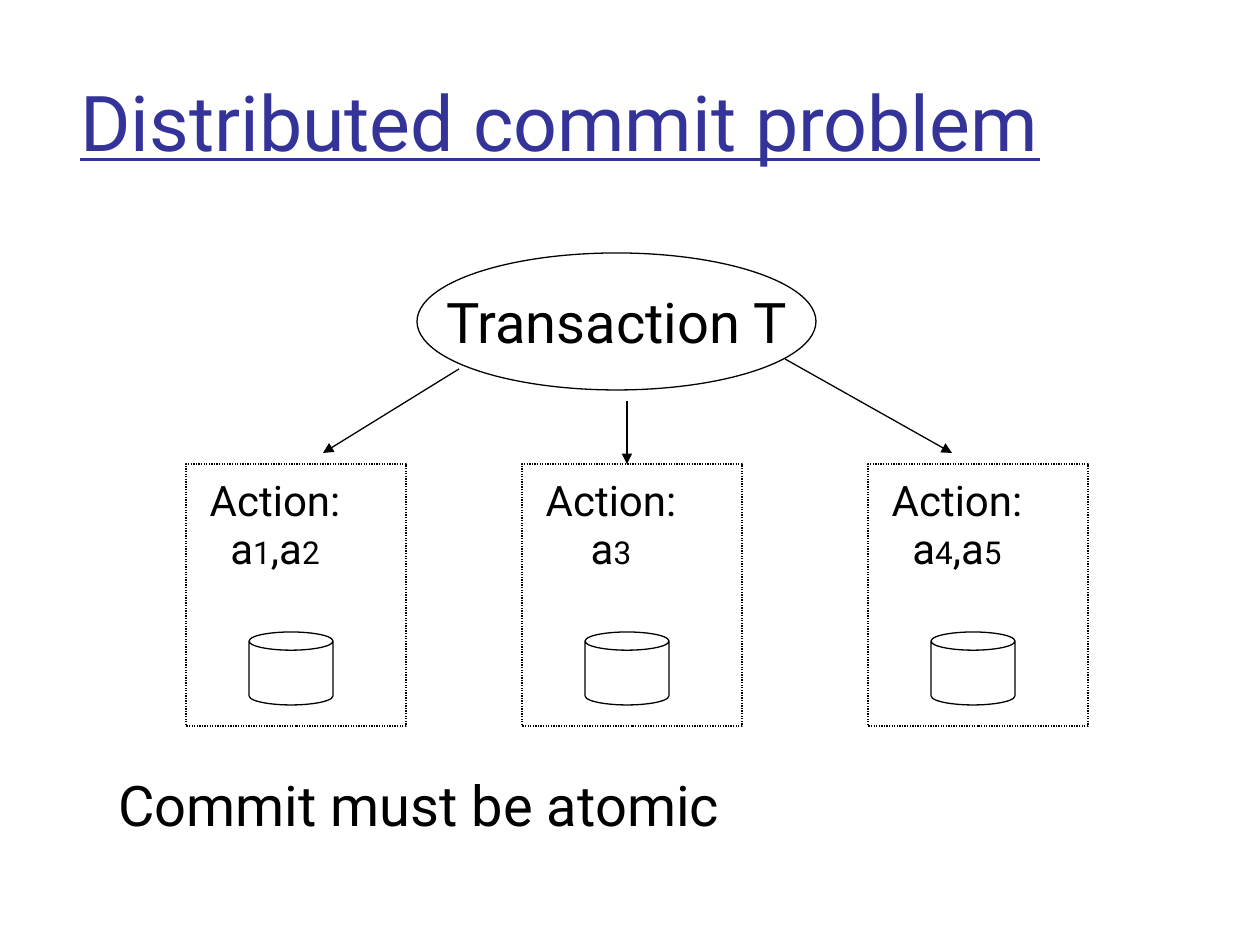
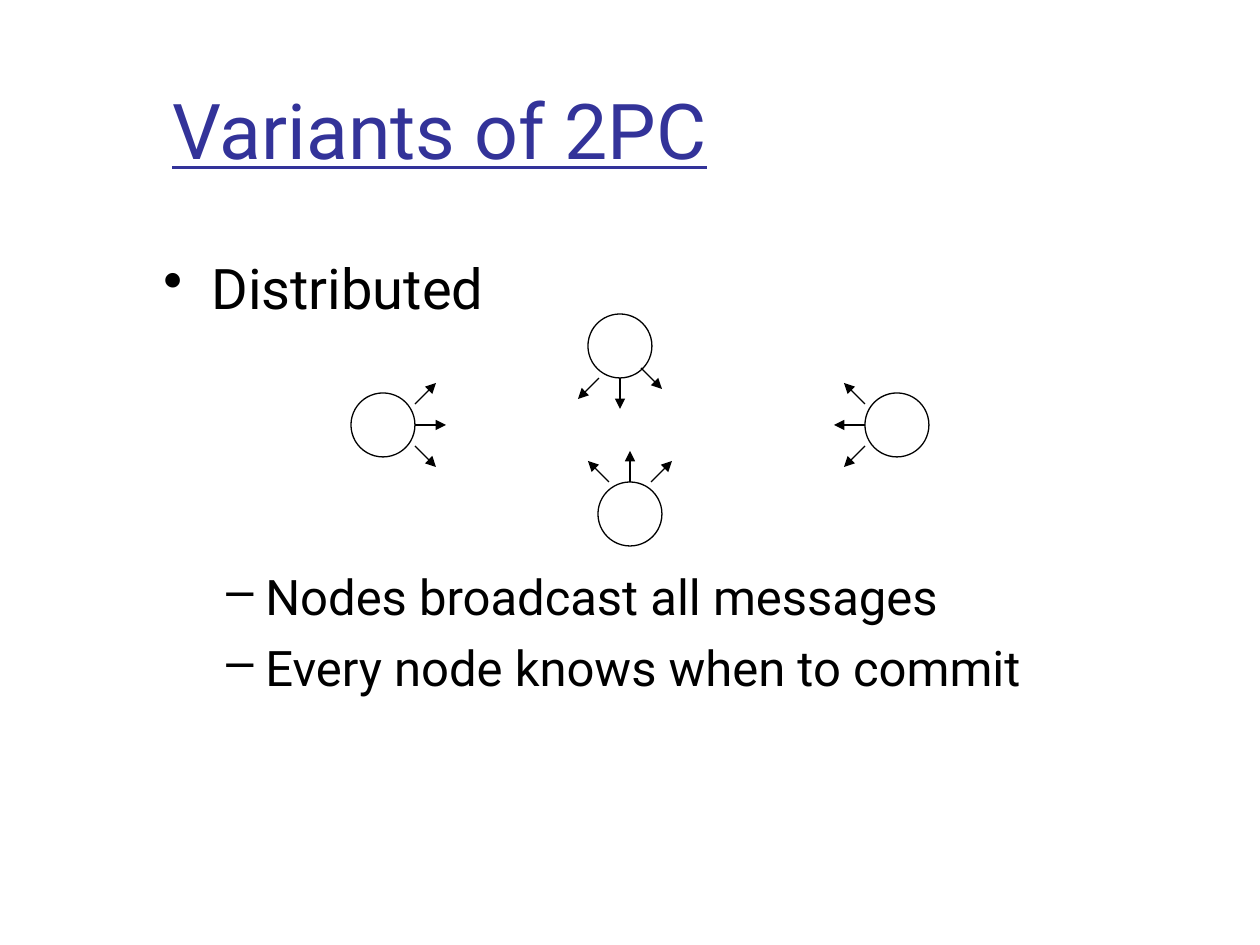
from itertools import groupby

from lxml.etree import SubElement
from pptx import Presentation
from pptx.dml.color import RGBColor
from pptx.enum.dml import MSO_LINE
from pptx.enum.shapes import MSO_CONNECTOR, MSO_SHAPE
from pptx.enum.text import MSO_ANCHOR, PP_ALIGN
from pptx.oxml.ns import qn
from pptx.util import Emu, Pt

# Shared look
BLACK = RGBColor(0x00, 0x00, 0x00)
WHITE = RGBColor(0xFF, 0xFF, 0xFF)
TITLE_BLUE = RGBColor(0x33, 0x33, 0x99)
FONT = "Roboto"
LINE_WIDTH = Pt(0.75)
PX_PER_INCH = 126
NODE_RADIUS = 32


def px(length):
    return Emu(round(length * 914400 / PX_PER_INCH))


def format_run(run, size, color=BLACK, underline=None):
    run.font.name = FONT
    run.font.size = Pt(size)
    run.font.color.rgb = color
    run.font.underline = underline


def add_text(slide, box, lines, size, wrap=True, color=BLACK, underline=None):
    """Add a text box with one paragraph per line."""
    text_frame = slide.shapes.add_textbox(*map(px, box)).text_frame
    text_frame.word_wrap = wrap
    text_frame.text = "\n".join(lines)
    for paragraph in text_frame.paragraphs:
        for run in paragraph.runs:
            format_run(run, size, color, underline)
    return text_frame


def add_title(slide, box, title):
    text_frame = add_text(slide, box, [title], 44, color=TITLE_BLUE, underline=True)
    text_frame.vertical_anchor = MSO_ANCHOR.MIDDLE


def add_bullets(slide, box, lines, size, symbol, margin, hanging, space):
    text_frame = add_text(slide, box, lines, size)
    for paragraph in text_frame.paragraphs:
        paragraph.space_before = Pt(space)
        properties = paragraph._p.get_or_add_pPr()
        properties.set("marL", str(px(margin)))
        properties.set("indent", str(px(-hanging)))
        SubElement(properties, qn("a:buChar"), char=symbol)


def add_outline(parent, kind, box, dash=None):
    """Add a white shape with a thin black outline."""
    shape = parent.shapes.add_shape(kind, *map(px, box))
    shape.shadow.inherit = False
    shape.fill.solid()
    shape.fill.fore_color.rgb = WHITE
    shape.line.color.rgb = BLACK
    shape.line.width = LINE_WIDTH
    if dash:
        shape.line.dash_style = dash
    return shape


def add_arrow(parent, start, end):
    points = map(px, (*start, *end))
    arrow = parent.shapes.add_connector(MSO_CONNECTOR.STRAIGHT, *points)
    arrow.line.color.rgb = BLACK
    arrow.line.width = LINE_WIDTH
    properties = arrow.element.spPr
    SubElement(properties.find(qn("a:ln")), qn("a:tailEnd"), type="triangle")
    SubElement(properties, qn("a:effectLst"))


def add_site(slide, left, top, actions):
    """Add a dotted site with its action list and its database."""
    add_outline(slide, MSO_SHAPE.RECTANGLE, (left, top, 220, 262), MSO_LINE.ROUND_DOT)
    add_outline(slide, MSO_SHAPE.CAN, (left + 63, top + 168, 84, 73))
    text_frame = add_text(slide, (left + 9, top + 4, 160, 108), ["Action:"], 24, wrap=False)
    text_frame.vertical_anchor = MSO_ANCHOR.MIDDLE
    heading = text_frame.paragraphs[0]
    heading.space_before = Pt(15)
    action_list = text_frame.add_paragraph()
    action_list.line_spacing = 0.5
    action_list.space_before = Pt(11.2)
    heading.alignment = action_list.alignment = PP_ALIGN.CENTER
    # Indexes are smaller than the letters
    for is_index, characters in groupby(actions, str.isdigit):
        run = action_list.add_run()
        run.text = "".join(characters)
        format_run(run, 18 if is_index else 24)


def add_node(slide, center, direction, first_inset=0):
    """Add a node that sends three messages in one direction."""
    (x, y), (dx, dy) = center, direction
    group = slide.shapes.add_group_shape()
    size = 2 * NODE_RADIUS
    add_outline(group, MSO_SHAPE.OVAL, (x - NODE_RADIUS, y - NODE_RADIUS, size, size))

    def place(out, side):
        return x + out * dx - side * dy, y + out * dy + side * dx

    near, far = NODE_RADIUS, NODE_RADIUS + 21
    add_arrow(group, place(near - first_inset, -21), place(far - first_inset, -42))
    add_arrow(group, place(near, 0), place(near + 31, 0))
    add_arrow(group, place(near, 21), place(far, 42))


def build_commit_problem(slide):
    add_title(slide, (68, 62, 1071, 118), "Distributed commit problem")

    # Sites
    for left, actions in ((186, "a1,a2"), (522, "a3"), (868, "a4,a5")):
        add_site(slide, left, 464, actions)

    # Transaction and its arrows to the sites
    transaction = add_outline(slide, MSO_SHAPE.OVAL, (417, 253, 399, 137))
    text_frame = transaction.text_frame
    text_frame.word_wrap = False
    text_frame.vertical_anchor = MSO_ANCHOR.MIDDLE
    text_frame.text = "Transaction T"
    paragraph = text_frame.paragraphs[0]
    paragraph.alignment = PP_ALIGN.CENTER
    format_run(paragraph.runs[0], 32)
    for start, end in (
        ((627, 401), (627, 464)),
        ((459, 369), (323, 453)),
        ((785, 359), (952, 453)),
    ):
        add_arrow(slide, start, end)

    add_text(slide, (106, 764, 658, 81), ["Commit must be atomic"], 32, wrap=False)


def build_variants(slide):
    add_title(slide, (160, 82, 1038, 94), "Variants of 2PC")
    add_bullets(slide, (151, 247, 1071, 80), ["Distributed"], 32, "•", 48, 48, 8)

    # Nodes facing each other
    add_node(slide, (620, 346), (0, 1), first_inset=10)
    add_node(slide, (630, 514), (0, -1))
    add_node(slide, (897, 425), (-1, 0))
    add_node(slide, (383, 425), (1, 0))

    remarks = ["Nodes broadcast all messages", "Every node knows when to commit"]
    add_bullets(slide, (151, 560, 1071, 150), remarks, 28, "–", 102, 39, 7)


def main():
    presentation = Presentation()
    presentation.slide_width = px(1260)
    presentation.slide_height = px(945)
    blank_layout = presentation.slide_layouts[6]
    for build in (build_commit_problem, build_variants):
        build(presentation.slides.add_slide(blank_layout))
    presentation.save("out.pptx")


if __name__ == "__main__":
    main()
